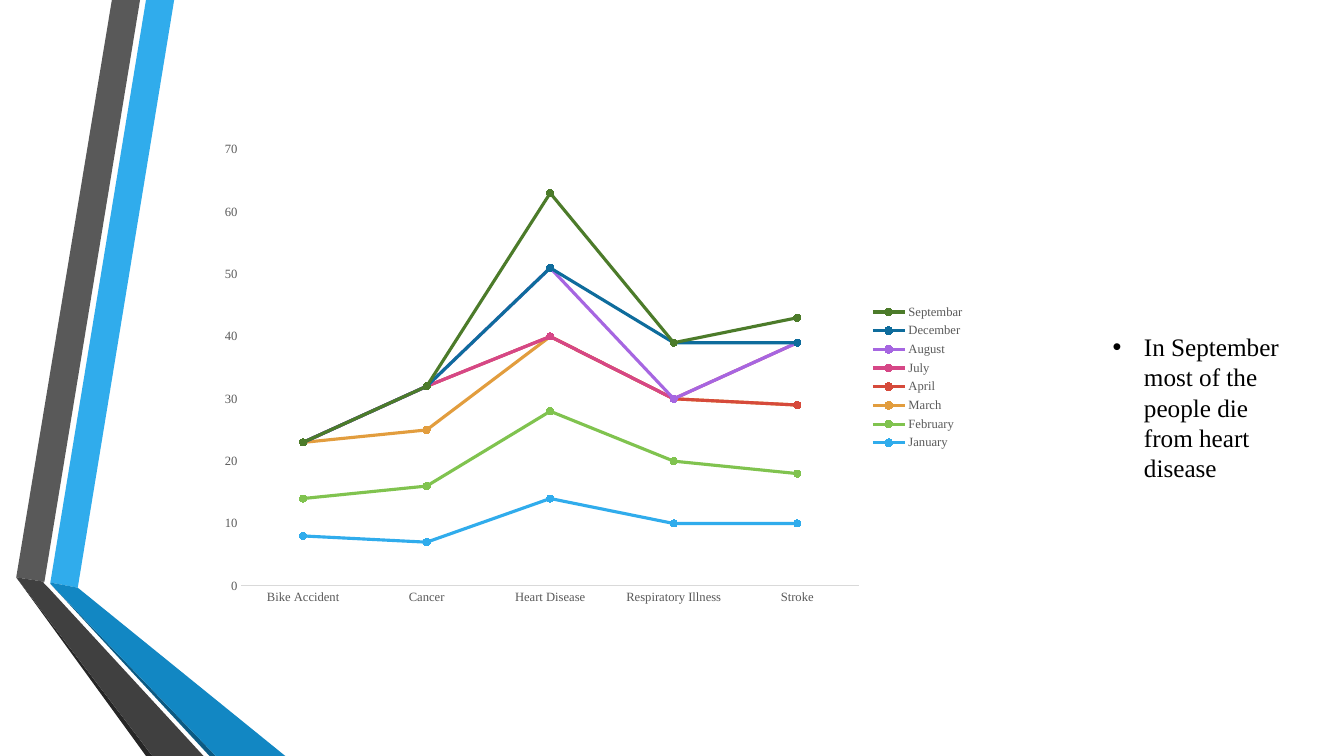
from lxml import etree
from pptx import Presentation
from pptx import util as u
from pptx.chart.data import CategoryChartData
from pptx.dml.color import RGBColor
from pptx.enum import chart as ch, text
from pptx.oxml.ns import qn

FONT = "Times New Roman"
GREY = "595959"
SLIDE_W, SLIDE_H = 33.87, 19.05

# Ribbon facets, back to front: colour and corners in centimetres
FACETS = [
    ("30ACEC", [(1.27, 14.68), (1.96, 14.81), (4.39, 0), (3.68, 0)]),
    (GREY, [(3.53, 0), (2.82, 0), (0.41, 14.55), (1.12, 14.66)]),
    ("262626", [(0.41, 14.55), (3.68, SLIDE_H), (3.84, SLIDE_H)]),
    ("0C5A82", [(1.27, 14.71), (5.28, SLIDE_H), (5.44, SLIDE_H)]),
    ("1287C3", [(1.27, 14.71), (5.44, SLIDE_H), (7.19, SLIDE_H),
                (1.96, 14.81), (1.27, 14.68)]),
    ("404040", [(5.13, SLIDE_H), (1.22, 14.81), (1.09, 14.68), (1.12, 14.66),
                (0.41, 14.55), (3.84, SLIDE_H)]),
]

CAUSES = ["Bike Accident", "Cancer", "Heart Disease", "Respiratory Illness", "Stroke"]
MONTHS = [
    ("January", "30ACEC", [8, 7, 14, 10, 10]),
    ("February", "80C34F", [6, 9, 14, 10, 8]),
    ("March", "E29D3E", [9, 9, 12, 10, 11]),
    ("April", "D64A3B", [None, 7, None, None, None]),
    ("July", "D64787", [None, None, None, None, 10]),
    ("August", "A666E1", [None, None, 11, None, None]),
    ("December", "0E6C9C", [None, None, None, 9, None]),
    ("Septembar", "4C7B2A", [None, None, 12, None, 4]),
]


def rgb(value):
    return RGBColor.from_string(value)


def set_font(font, size, color):
    font.name = FONT
    font.size = u.Pt(size)
    font.color.rgb = rgb(color)


def fill_solid(fmt, color):
    fmt.fill.solid()
    fmt.fill.fore_color.rgb = rgb(color)


def add_facet(group, color, corners):
    points = [(u.Cm(x), u.Cm(y)) for x, y in corners]
    builder = group.shapes.build_freeform(*points[0])
    builder.add_line_segments(points[1:], close=True)
    sp = builder.convert_to_shape()
    sp.shadow.inherit = False
    fill_solid(sp, color)
    sp.line.fill.background()


def set_plot_layout(chart, x, y, w, h):
    """Fix the inner plot area, as fractions of the chart."""
    area = chart._chartSpace.chart.plotArea
    for old in area.findall(qn("c:layout")):
        area.remove(old)
    layout = etree.Element(qn("c:layout"))
    manual = etree.SubElement(layout, qn("c:manualLayout"))
    settings = [("layoutTarget", "inner"), ("xMode", "edge"), ("yMode", "edge"),
                ("x", x), ("y", y), ("w", w), ("h", h)]
    for tag, value in settings:
        etree.SubElement(manual, qn(f"c:{tag}")).set("val", str(value))
    area.insert(0, layout)


def format_axis(axis):
    axis.has_major_gridlines = False
    axis.major_tick_mark = axis.minor_tick_mark = ch.XL_TICK_MARK.NONE
    set_font(axis.tick_labels.font, 9, GREY)


def format_series(series, color):
    series.smooth = False
    series.format.line.color.rgb = rgb(color)
    series.format.line.width = u.Pt(2.25)
    marker = series.marker
    marker.style = ch.XL_MARKER_STYLE.CIRCLE
    marker.size = 5
    fill_solid(marker.format, color)
    marker.format.line.color.rgb = rgb(color)


def add_deaths_chart(slide, x, y, w, h):
    data = CategoryChartData(number_format="0")
    data.categories = CAUSES
    for name, _, values in MONTHS:
        data.add_series(name, values)
    chart = slide.shapes.add_chart(ch.XL_CHART_TYPE.LINE_MARKERS_STACKED,
                                   u.Cm(x), u.Cm(y), u.Cm(w), u.Cm(h), data).chart
    chart.has_title = False
    set_font(chart.font, 10, "000000")
    set_plot_layout(chart, 0.05, 0.03, 0.8, 0.9)
    blanks = chart._chartSpace.chart.find(qn("c:dispBlanksAs"))
    if blanks is not None:
        blanks.set("val", "zero")

    format_axis(chart.category_axis)
    chart.category_axis.format.line.color.rgb = rgb("D9D9D9")
    chart.category_axis.format.line.width = u.Pt(0.75)
    value_axis = chart.value_axis
    format_axis(value_axis)
    value_axis.format.line.fill.background()
    value_axis.minimum_scale, value_axis.maximum_scale = 0, 70
    value_axis.major_unit = 10
    value_axis.tick_labels.number_format = "0"
    value_axis.tick_labels.number_format_is_linked = False

    chart.has_legend = True
    chart.legend.position = ch.XL_LEGEND_POSITION.RIGHT
    chart.legend.include_in_layout = False
    set_font(chart.legend.font, 9, GREY)
    plot = chart.plots[0]
    plot.vary_by_categories = False
    for series, (_, color, _) in zip(plot.series, MONTHS):
        format_series(series, color)


def add_bullet_text(slide, x, y, w, h, words):
    tf = slide.shapes.add_textbox(u.Cm(x), u.Cm(y), u.Cm(w), u.Cm(h)).text_frame
    tf.word_wrap = True
    tf.auto_size = text.MSO_AUTO_SIZE.SHAPE_TO_FIT_TEXT
    p = tf.paragraphs[0]
    r = p.add_run()
    r.text = words
    set_font(r.font, 18, "000000")
    indent = u.Cm(0.79)
    p_pr = p._p.get_or_add_pPr()
    p_pr.set("marL", str(indent))
    p_pr.set("indent", str(-indent))
    etree.SubElement(p_pr, qn("a:buFont")).set("typeface", "Arial")
    etree.SubElement(p_pr, qn("a:buChar")).set("char", "•")


def main():
    prs = Presentation()
    prs.slide_width, prs.slide_height = u.Cm(SLIDE_W), u.Cm(SLIDE_H)
    slide = prs.slides.add_slide(prs.slide_layouts.get_by_name("Blank"))
    ribbons = slide.shapes.add_group_shape()
    for color, corners in FACETS:
        add_facet(ribbons, color, corners)
    add_deaths_chart(slide, 5.11, 3.4, 19.46, 12.22)
    add_bullet_text(slide, 27.79, 8.23, 4.98, 4.11,
                    "In September most of the people die from heart disease")
    prs.save("out.pptx")


if __name__ == "__main__":
    main()
